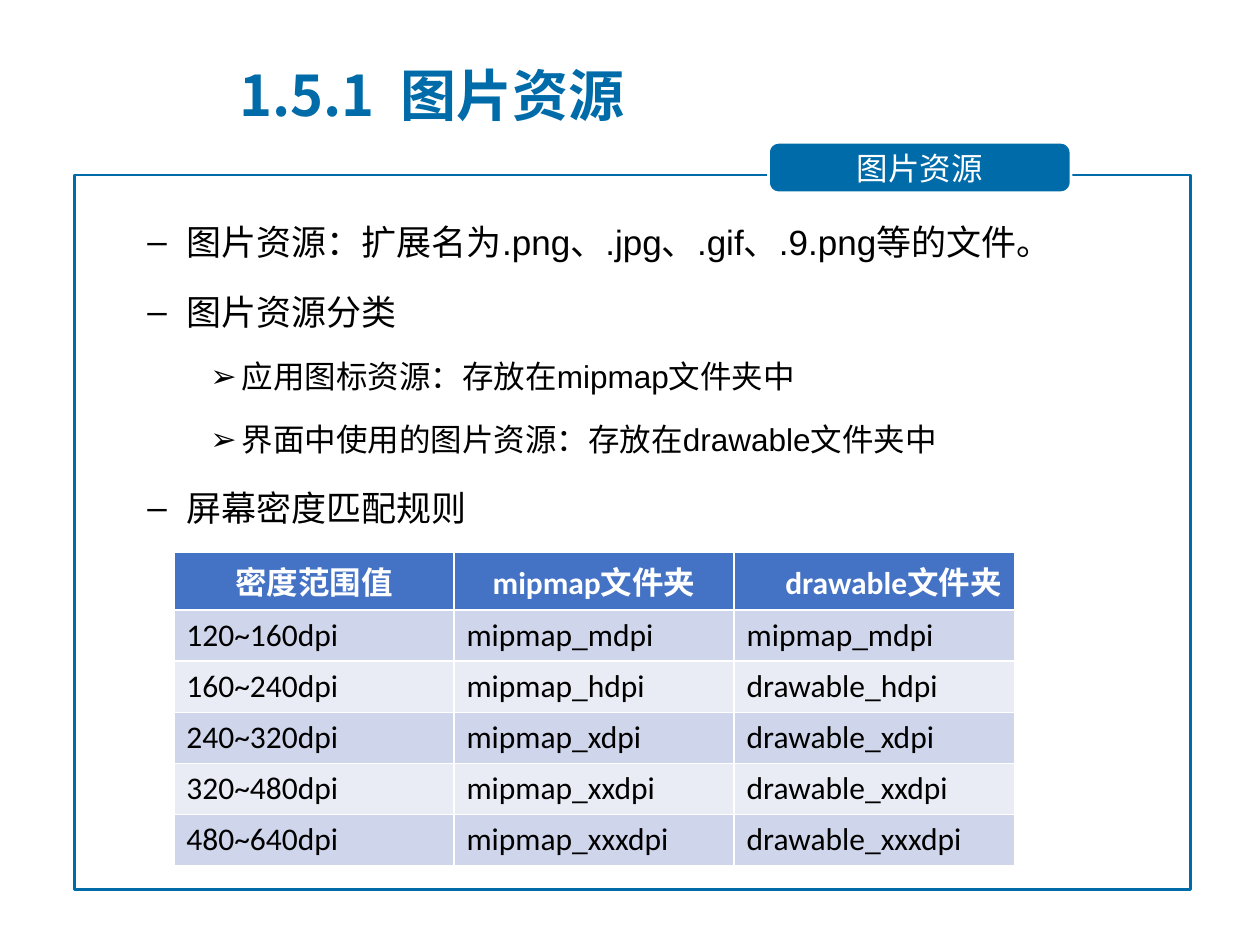
from lxml.etree import SubElement
from pptx import Presentation
from pptx.dml.color import RGBColor
from pptx.enum.shapes import MSO_SHAPE
from pptx.enum.text import MSO_ANCHOR, MSO_AUTO_SIZE, PP_ALIGN
from pptx.oxml.ns import qn
from pptx.util import Inches, Pt

BLUE, WHITE, BLACK = "006BA9", "FFFFFF", "000000"
HEADER_FILL, BAND_FILLS = "4472C4", ("CFD5EA", "E9EBF5")
CJK_FONT = "Noto Sans CJK SC"

TITLE = "1.5.1  图片资源"
TAB_LABEL = "图片资源"
POINTS = [
    (1, "图片资源：扩展名为.png、.jpg、.gif、.9.png等的文件。"),
    (1, "图片资源分类"),
    (2, "应用图标资源：存放在mipmap文件夹中"),
    (2, "界面中使用的图片资源：存放在drawable文件夹中"),
    (1, "屏幕密度匹配规则"),
]
# level: bullet, left margin, hanging indent, text size
LEVELS = {1: ("–", 0.81, -0.31, 20), 2: ("➢", 1.25, -0.25, 18)}
DENSITIES = [
    ("密度范围值", "mipmap文件夹", "drawable文件夹"),
    ("120~160dpi", "mipmap_mdpi", "mipmap_mdpi"),
    ("160~240dpi", "mipmap_hdpi", "drawable_hdpi"),
    ("240~320dpi", "mipmap_xdpi", "drawable_xdpi"),
    ("320~480dpi", "mipmap_xxdpi", "drawable_xxdpi"),
    ("480~640dpi", "mipmap_xxxdpi", "drawable_xxxdpi"),
]
HEADER_ALIGNS = (PP_ALIGN.CENTER, PP_ALIGN.CENTER, PP_ALIGN.RIGHT)


def rgb(code):
    return RGBColor.from_string(code)


def box(left, top, width, height):
    return [Inches(v) for v in (left, top, width, height)]


def place(shape, *bounds):
    shape.left, shape.top, shape.width, shape.height = box(*bounds)


def style(paragraph, size, font, color, bold=False):
    for run in paragraph.runs:
        run.font.size, run.font.name, run.font.bold = Pt(size), font, bold
        run.font.color.rgb = rgb(color)


def add_outlined(slide, kind, bounds, line):
    shape = slide.shapes.add_shape(kind, *box(*bounds))
    shape.shadow.inherit = False
    shape.line.color.rgb = rgb(line)
    shape.line.width = Pt(1.5)
    return shape


def fill_title(title):
    place(title, 1.8, 0.44, 7.93, 0.61)
    frame = title.text_frame
    frame.text = TITLE
    frame.auto_size = MSO_AUTO_SIZE.NONE
    frame.vertical_anchor = MSO_ANCHOR.MIDDLE
    frame.paragraphs[0].alignment = PP_ALIGN.LEFT
    style(frame.paragraphs[0], 32, CJK_FONT, BLUE, bold=True)


def fill_body(body):
    place(body, 0.57, 1.53, 8.72, 2.72)
    frame = body.text_frame
    frame.text = "\n".join(text for _, text in POINTS)
    frame.auto_size = MSO_AUTO_SIZE.NONE
    for paragraph, (level, _) in zip(frame.paragraphs, POINTS):
        bullet, margin, indent, size = LEVELS[level]
        paragraph.level = level
        paragraph.line_spacing = 1.5
        props = paragraph._p.get_or_add_pPr()
        props.set("marL", str(Inches(margin)))
        props.set("indent", str(Inches(indent)))
        SubElement(props, qn("a:buChar"), char=bullet)
        style(paragraph, size, "Arial", BLACK)
    frame.paragraphs[0].space_before = Pt(0)


def add_tab(slide):
    tab = add_outlined(slide, MSO_SHAPE.ROUNDED_RECTANGLE, (6.1, 1.13, 2.4, 0.4), WHITE)
    tab.adjustments[0] = 0.2
    tab.fill.solid()
    tab.fill.fore_color.rgb = rgb(BLUE)
    frame = tab.text_frame
    frame.text = TAB_LABEL
    frame.margin_left = frame.margin_right = Inches(0.24)
    frame.margin_top = frame.margin_bottom = Inches(0.06)
    frame.vertical_anchor = MSO_ANCHOR.MIDDLE
    frame.paragraphs[0].alignment = PP_ALIGN.CENTER
    style(frame.paragraphs[0], 18, CJK_FONT, WHITE)


def add_density_table(slide):
    bounds = box(1.38, 4.38, 6.67, 2.43)
    table = slide.shapes.add_table(len(DENSITIES), len(DENSITIES[0]), *bounds).table
    for r, row in enumerate(DENSITIES):
        header = r == 0
        for c, text in enumerate(row):
            cell = table.cell(r, c)
            cell.text = text
            cell.fill.solid()
            cell.fill.fore_color.rgb = rgb(HEADER_FILL if header else BAND_FILLS[(r - 1) % 2])
            paragraph = cell.text_frame.paragraphs[0]
            paragraph.alignment = HEADER_ALIGNS[c] if header else PP_ALIGN.LEFT
            style(paragraph, 18, "Calibri", WHITE if header else BLACK, bold=header)


def main():
    deck = Presentation()
    deck.slide_width, deck.slide_height = Inches(10), Inches(7.5)
    slide = deck.slides.add_slide(deck.slide_layouts[1])
    fill_title(slide.shapes.title)
    fill_body(slide.placeholders[1])
    add_outlined(slide, MSO_SHAPE.RECTANGLE, (0.59, 1.39, 8.86, 5.67), BLUE).fill.background()
    add_tab(slide)
    add_density_table(slide)
    deck.save("out.pptx")


if __name__ == "__main__":
    main()
